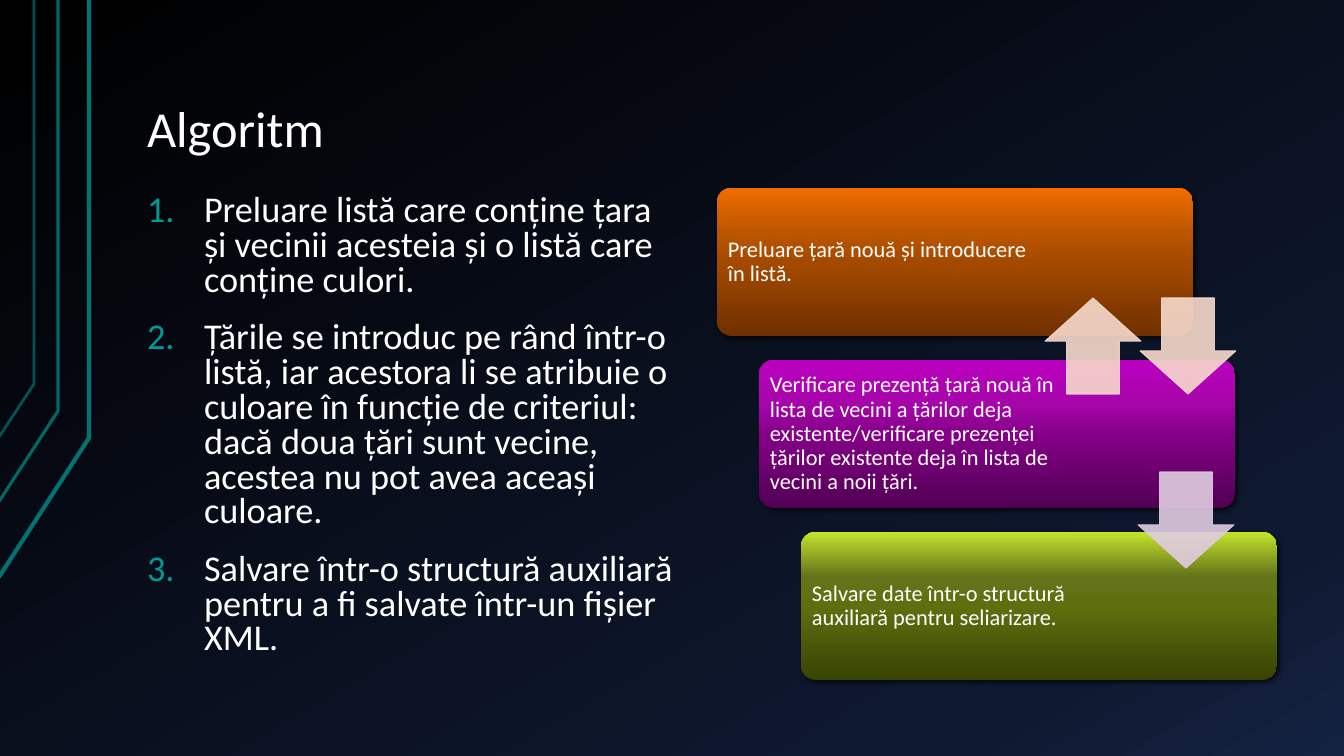
from pptx import Presentation
from pptx.dml.color import RGBColor
from pptx.enum.shapes import MSO_SHAPE as Geo
from pptx.enum.text import MSO_ANCHOR as Anchor, MSO_AUTO_SIZE as Fit, PP_ALIGN as Align
from pptx.oxml.ns import qn
from pptx.util import Emu, Pt
from lxml.etree import SubElement as Sub

SCALE = 914400 / 100.8
FONT = "Calibri"
WHITE = RGBColor(0xFF, 0xFF, 0xFF)
BLACK = RGBColor(0, 0, 0)
TEAL = RGBColor(0, 0x73, 0x73)
MINT = RGBColor(0, 0x99, 0x99)
PEACH = RGBColor(0xF7, 0xDA, 0xCC)
LILAC = RGBColor(0xE0, 0xCC, 0xE1)
NIGHT = [(0, BLACK), (85, RGBColor(0x0F, 0x19, 0x31)), (100, RGBColor(0x14, 0x22, 0x42))]
ORANGE = [(0, RGBColor(0x70, 0x30, 0)), (50, RGBColor(0xA4, 0x4A, 0)),
          (70, RGBColor(0xBC, 0x55, 0)), (100, RGBColor(0xF2, 0x6D, 0))]
PURPLE = [(0, RGBColor(0x52, 0, 0x54)), (50, RGBColor(0x85, 0, 0x88)),
          (70, RGBColor(0xA5, 0x05, 0xA9)), (100, RGBColor(0xBC, 0, 0xC0))]
GREEN = [(0, RGBColor(0x39, 0x44, 0x04)), (50, RGBColor(0x5F, 0x6F, 0x0F)),
         (70, RGBColor(0x65, 0x74, 0x1A)), (100, RGBColor(0xC4, 0xE3, 0x2D))]

STEPS = [
    "Preluare listă care conține țara și vecinii acesteia și o listă care conține culori.",
    "Țările se introduc pe rând într-o listă, iar acestora li se atribuie o culoare în "
    "funcție de criteriul: dacă doua țări sunt vecine, acestea nu pot avea aceași culoare.",
    "Salvare într-o structură auxiliară pentru a fi salvate într-un fișier XML.",
]
CARDS = [  # wording, text width, gradient
    ("Preluare țară nouă și introducere în listă.", 317, ORANGE),
    ("Verificare prezență țară nouă în lista de vecini a țărilor deja existente/verificare "
     "prezenței țărilor existente deja în lista de vecini a noii țări.", 330, PURPLE),
    ("Salvare date într-o structură auxiliară pentru seliarizare.", 330, GREEN),
]
ARROWS = [(423, 110, 0, PEACH), (421, 284, 0, LILAC), (328, 110, 180, PEACH)]
TRACKS = [  # points, width, opacity
    ([(-1, 577), (89, 438), (89, 0)], 3, 100),
    ([(-2, 503), (58, 411), (58, 0)], 2.25, 90),
    ([(-1, 437), (34, 384), (34, 0)], 2, 70),
]


def px(*vals):
    """Turn pixels into EMU."""
    return [Emu(round(v * SCALE)) for v in vals]


def blend(fill, root, stops, angle):
    """Fill with a linear gradient of several stops."""
    fill.gradient()
    grad = root.find(".//" + qn("a:gradFill"))
    row = grad.find(qn("a:gsLst"))
    for old in list(row):
        row.remove(old)
    for pos, color in stops:
        stop = Sub(row, qn("a:gs"), pos=str(pos * 1000))
        Sub(stop, qn("a:srgbClr"), val=str(color))
    grad.find(qn("a:lin")).set("ang", str(angle * 60000))


def fade(shape, pct):
    """Set the opacity of every colour of a shape."""
    for color in shape._element.spPr.iter(qn("a:srgbClr")):
        Sub(color, qn("a:alpha"), val=str(pct * 1000))


def frame(shape, anchor, side):
    """Set up the text frame of a shape and return it."""
    text = shape.text_frame
    text.word_wrap, text.auto_size, text.vertical_anchor = True, Fit.NONE, anchor
    text.margin_left, text.margin_right, text.margin_top, text.margin_bottom = px(side, side, 7, 7)
    return text


def write(para, words, size, space):
    """Add one white run to a left-aligned paragraph."""
    para.alignment, para.line_spacing = Align.LEFT, space
    run = para.add_run()
    run.text = words
    run.font.name, run.font.size = FONT, Pt(size)
    run.font.color.rgb = WHITE


def place(shape, box):
    """Move a placeholder into its box."""
    shape.left, shape.top, shape.width, shape.height = px(*box)


def tracks(slide, x, y):
    """Draw the bent lines at the left edge."""
    for pts, width, pct in TRACKS:
        pts = [(x + a, y + b) for a, b in pts]
        pen = slide.shapes.build_freeform(*pts[0], scale=SCALE)
        pen.add_line_segments(pts[1:], close=False)
        line = pen.convert_to_shape()
        line.fill.background()
        line.line.color.rgb, line.line.width = TEAL, Pt(width)
        line.shadow.inherit = False
        if pct < 100:
            fade(line, pct)


def heading(slide, box):
    """Write the title."""
    title = slide.shapes.title
    place(title, box)
    write(frame(title, Anchor.BOTTOM, 13).paragraphs[0], "Algoritm", 36, 0.9)


def steps(slide, box):
    """Write the numbered list."""
    body = slide.placeholders[1]
    place(body, box)
    text = frame(body, Anchor.TOP, 13)
    for i, words in enumerate(STEPS):
        para = text.add_paragraph() if i else text.paragraphs[0]
        write(para, words, 25.9, 0.8)
        para.space_before = Pt(16)
        prop = para._p.get_or_add_pPr()
        indent = px(57)[0]
        prop.set("marL", str(indent))
        prop.set("indent", str(-indent))
        Sub(Sub(prop, qn("a:buClr")), qn("a:srgbClr"), val=str(MINT))
        Sub(prop, qn("a:buFont"), typeface=FONT)
        Sub(prop, qn("a:buAutoNum"), type="arabicPeriod")


def card(slide, box, words, wide, stops):
    """Draw one rounded card with its text."""
    x, y, _, h = box
    rect = slide.shapes.add_shape(Geo.ROUNDED_RECTANGLE, *px(*box))
    rect.adjustments[0] = 0.1
    blend(rect.fill, rect._element.spPr, stops, 270)
    rect.line.fill.background()
    rect.shadow.inherit = False
    glow = Sub(rect._element.spPr.find(qn("a:effectLst")), qn("a:outerShdw"),
               blurRad=str(Pt(3)), dist=str(Pt(2)), dir=str(45 * 60000), rotWithShape="0")
    Sub(Sub(glow, qn("a:srgbClr"), val=str(BLACK)), qn("a:alpha"), val="60000")
    label = slide.shapes.add_textbox(*px(x + 4, y + 4, wide, h - 8))
    write(frame(label, Anchor.MIDDLE, 7).paragraphs[0], words, 16, 0.9)


def flow(slide, box):
    """Draw the stepped cards and the arrows between them."""
    x, y, w, h = box
    wide, high = 476, 148
    gaps = len(CARDS) - 1
    for i, (words, span, stops) in enumerate(CARDS):
        left, top = x + i * (w - wide) / gaps, y + i * (h - high) / gaps
        card(slide, (left, top, wide, high), words, span, stops)
    for dx, dy, turn, color in ARROWS:
        arrow = slide.shapes.add_shape(Geo.DOWN_ARROW, *px(x + dx, y + dy, 96, 96))
        arrow.adjustments[0], arrow.adjustments[1] = 0.55, 0.45
        arrow.rotation = turn
        arrow.fill.solid()
        arrow.fill.fore_color.rgb = arrow.line.color.rgb = color
        arrow.line.width = Pt(0.75)
        arrow.shadow.inherit = False
        fade(arrow, 90)


def main():
    """Build the slide and save it."""
    deck = Presentation()
    deck.slide_width, deck.slide_height = px(1344, 756)
    slide = deck.slides.add_slide(deck.slide_layouts[1])
    blend(slide.background.fill, slide._element, NIGHT, 60)
    tracks(slide, 0, 0)
    heading(slide, (134, 30, 1142, 135))
    steps(slide, (134, 188, 559, 492))
    flow(slide, (717, 188, 560, 492))
    deck.save("out.pptx")


main()
